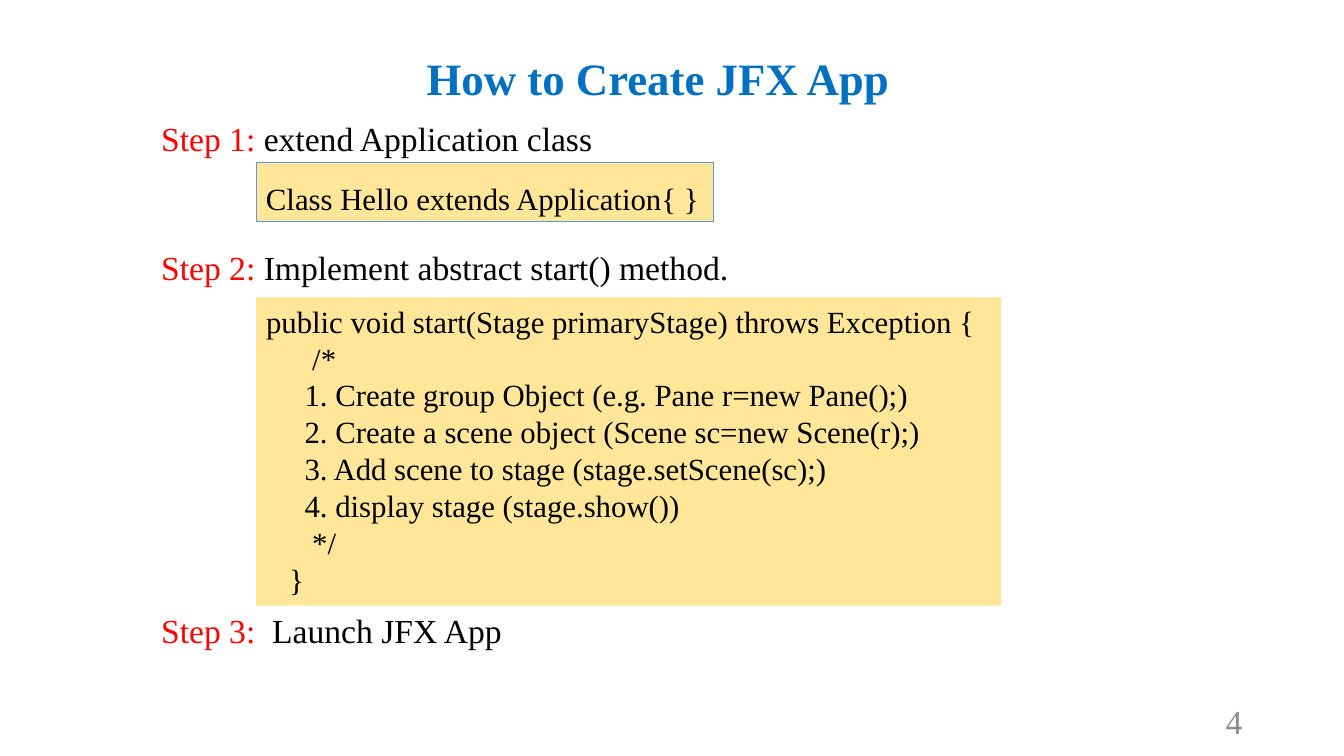
"""Build the slide that lists the three steps of creating a JFX application."""
from pptx import Presentation
from pptx.dml.color import RGBColor
from pptx.enum.shapes import MSO_SHAPE as Shape
from pptx.enum.text import MSO_ANCHOR as Anchor, PP_ALIGN as Align
from pptx.util import Inches, Pt

FONT = "Times New Roman"
BLUE = RGBColor(0x00, 0x70, 0xC0)
RED = RGBColor(0xFF, 0x00, 0x00)
BLACK = RGBColor(0x00, 0x00, 0x00)
GREY = RGBColor(0x8C, 0x8C, 0x8C)
SAND = RGBColor(0xFF, 0xE6, 0x99)
EDGE = RGBColor(0x5B, 0x9B, 0xD5)

TITLE = "How to Create JFX App"
PAGE_NUMBER = "4"
STEPS = [
    (1.12, "Step 1:", " extend Application class"),
    (2.4, "Step 2:", " Implement abstract start() method."),
    (6.0, "Step 3:", "  Launch JFX App"),
]
CLASS_CODE = [(0, "Class Hello extends Application{ }")]
START_CODE = [
    (0, "public void start(Stage primaryStage) throws Exception {"),
    (6, "/*"),
    (5, "1. Create group Object (e.g. Pane r=new Pane();)"),
    (5, "2. Create a scene object (Scene sc=new Scene(r);)"),
    (5, "3. Add scene to stage (stage.setScene(sc);)"),
    (5, "4. display stage (stage.show())"),
    (6, "*/"),
    (3, "}"),
]
CODE_SIZE = 22
CODE_LEFT = 2.54
SPACE_WIDTH = Pt(CODE_SIZE * 0.25)


def add_span(para, text, size, color, bold=False):
    span = para.add_run()
    span.text = text
    span.font.name = FONT
    span.font.size = Pt(size)
    span.font.bold = bold
    span.font.color.rgb = color


def add_line(page, left, top, width, height, spans, size,
             align=Align.LEFT, anchor=Anchor.TOP, bold=False):
    box = page.shapes.add_textbox(*map(Inches, (left, top, width, height)))
    frame = box.text_frame
    frame.word_wrap = True
    frame.vertical_anchor = anchor
    para = frame.paragraphs[0]
    para.alignment = align
    for text, color in spans:
        add_span(para, text, size, color, bold)
    return para


def add_code(page, top, width, height, lines, spacing=1.0):
    box = page.shapes.add_shape(
        Shape.RECTANGLE, *map(Inches, (CODE_LEFT, top, width, height)))
    box.shadow.inherit = False
    box.fill.solid()
    box.fill.fore_color.rgb = SAND
    box.line.fill.background()
    frame = box.text_frame
    frame.word_wrap = True
    frame.vertical_anchor = Anchor.TOP
    for index, (indent, text) in enumerate(lines):
        para = frame.add_paragraph() if index else frame.paragraphs[0]
        para.alignment = Align.LEFT
        para.line_spacing = spacing
        para._p.get_or_add_pPr().set("marL", str(indent * SPACE_WIDTH))
        add_span(para, text, CODE_SIZE, BLACK)
    return box


deck = Presentation()
deck.slide_width, deck.slide_height = Inches(13.33), Inches(7.5)
page = deck.slides.add_slide(deck.slide_layouts[6])

title = add_line(page, 1.92, 0.17, 9.21, 0.92, [(TITLE, BLUE)], 32,
                 Align.CENTER, Anchor.BOTTOM, bold=True)
title.line_spacing = 0.9

class_box = add_code(page, 1.61, 4.54, 0.59, CLASS_CODE, spacing=1.35)
class_box.line.color.rgb = EDGE
class_box.line.width = Pt(0.75)
add_code(page, 2.95, 7.39, 3.06, START_CODE)

for top, label, action in STEPS:
    add_line(page, 1.5, top, 10.4, 0.48, [(label, RED), (action, BLACK)], 24)
add_line(page, 9.42, 6.95, 3, 0.4, [(PAGE_NUMBER, GREY)], 24,
         Align.RIGHT, Anchor.MIDDLE)

deck.save("out.pptx")
